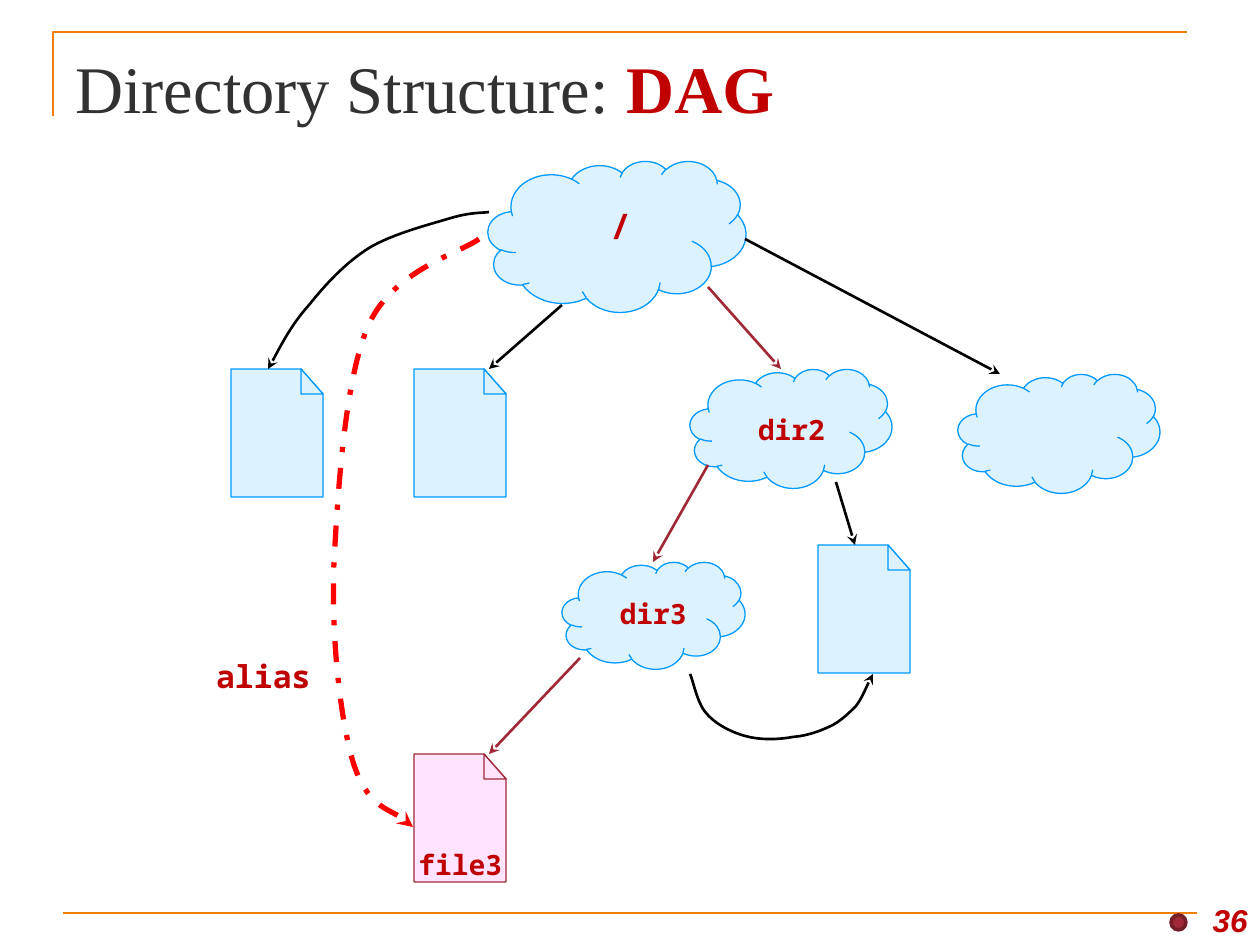
"""Build the slide showing a directory structure as a directed acyclic graph."""
from dataclasses import dataclass

from lxml.etree import SubElement
from pptx import Presentation
from pptx.dml.color import RGBColor
from pptx.enum.dml import MSO_LINE
from pptx.enum.shapes import MSO_CONNECTOR, MSO_SHAPE
from pptx.enum.text import MSO_ANCHOR, PP_ALIGN
from pptx.oxml.ns import qn
from pptx.util import Emu, Pt

EMU_PER_PX = 914400 / 126
STRAIGHT = MSO_CONNECTOR.STRAIGHT
CLOUD, OVAL = MSO_SHAPE.CLOUD, MSO_SHAPE.OVAL
DASH_DOT = MSO_LINE.DASH_DOT
TOP, MIDDLE, BOTTOM = MSO_ANCHOR.TOP, MSO_ANCHOR.MIDDLE, MSO_ANCHOR.BOTTOM
LEFT, CENTER, RIGHT = PP_ALIGN.LEFT, PP_ALIGN.CENTER, PP_ALIGN.RIGHT

BLACK = RGBColor(0x00, 0x00, 0x00)
CHARCOAL = RGBColor(0x32, 0x32, 0x32)
ORANGE = RGBColor(0xF0, 0x7F, 0x09)
PALE_BLUE = RGBColor(0xDD, 0xF2, 0xFF)
BLUE = RGBColor(0x00, 0x99, 0xFF)
PINK = RGBColor(0xFF, 0xE3, 0xFF)
MAROON = RGBColor(0x9F, 0x29, 0x36)
DARK_MAROON = RGBColor(0x76, 0x1E, 0x28)
CRIMSON = RGBColor(0xC0, 0x00, 0x00)
RED = RGBColor(0xFF, 0x00, 0x00)

FILE_WIDTH, FILE_HEIGHT = 92, 128
FOLD_WIDTH, FOLD_HEIGHT = 22, 25

Point = tuple[int, int]
Box = tuple[int, int, int, int]


@dataclass
class File:
    left: int
    top: int
    fill: RGBColor = PALE_BLUE
    line: RGBColor = BLUE


@dataclass
class Arrow:
    start: Point
    end: Point
    color: RGBColor = BLACK


@dataclass
class Curve:
    points: list[Point]
    color: RGBColor = BLACK
    weight: float = 1.5
    dash: MSO_LINE | None = None


@dataclass
class Label:
    box: Box
    text: str
    size: int
    align: PP_ALIGN = CENTER
    font: str = "Noto Sans Mono"
    italic: bool = False
    wrap: bool = False
    anchor: MSO_ANCHOR = TOP


CLOUDS: list[Box] = [
    (488, 161, 258, 151), (690, 369, 202, 119),
    (958, 374, 202, 119), (562, 562, 183, 107),
]
FILES = [File(231, 369), File(414, 369), File(818, 545), File(414, 754, PINK, MAROON)]
ARROWS = [
    Arrow((708, 465), (653, 562), MAROON),
    Arrow((708, 287), (781, 369), MAROON),
    Arrow((562, 305), (489, 369)),
    Arrow((745, 239), (1000, 374)),
    Arrow((580, 658), (489, 754), MAROON),
    Arrow((836, 482), (855, 545)),
]
CURVES = [
    Curve([(690, 674), (693, 680), (697, 703), (706, 713), (714, 723), (730, 732),
           (745, 736), (759, 740), (777, 740), (793, 737), (808, 736), (823, 730),
           (833, 725), (843, 719), (848, 714), (856, 706), (862, 698), (867, 685),
           (873, 674)]),
    Curve([(489, 212), (483, 213), (471, 212), (451, 218), (431, 224), (392, 234),
           (369, 248), (345, 263), (325, 285), (309, 305), (291, 325), (276, 355),
           (268, 369)]),
    Curve([(479, 239), (460, 253), (394, 270), (369, 324), (345, 377), (338, 489),
           (334, 562), (331, 636), (340, 718), (353, 762), (367, 806), (401, 813),
           (413, 827)], RED, 3, DASH_DOT),
]
LABELS = [
    Label((597, 198, 47, 55), "/", 20),
    Label((745, 406, 93, 47), "dir2", 16),
    Label((606, 590, 93, 47), "dir3", 16, RIGHT),
    Label((406, 841, 110, 47), "file3", 16, LEFT),
    Label((202, 651, 121, 50), "alias", 18, RIGHT),
    Label((1187, 882, 73, 63), "36", 18, RIGHT, "Arial", True, True, BOTTOM),
]


def px(*lengths: int) -> list[Emu]:
    return [Emu(round(length * EMU_PER_PX)) for length in lengths]


def set_line(shape, color: RGBColor, weight: float) -> None:
    shape.line.color.rgb = color
    shape.line.width = Pt(weight)


def add_arrowhead(shape) -> None:
    SubElement(shape._element.spPr.find(qn("a:ln")), qn("a:tailEnd"), type="stealth")


def draw_preset(page, kind, box: Box, fill: RGBColor, line: RGBColor, weight: float) -> None:
    shape = page.shapes.add_shape(kind, *px(*box))
    shape.shadow.inherit = False
    shape.fill.solid()
    shape.fill.fore_color.rgb = fill
    set_line(shape, line, weight)


def draw_outline(page, points: list[Point], line: RGBColor, weight: float,
                 fill: RGBColor | None = None):
    builder = page.shapes.build_freeform(*points[0], scale=EMU_PER_PX)
    builder.add_line_segments(points[1:], close=fill is not None)
    shape = builder.convert_to_shape()
    shape.shadow.inherit = False
    if fill is None:
        shape.fill.background()
    else:
        shape.fill.solid()
        shape.fill.fore_color.rgb = fill
    set_line(shape, line, weight)
    return shape


def draw_file(page, file: File) -> None:
    right, bottom = file.left + FILE_WIDTH, file.top + FILE_HEIGHT
    fold_start = (right - FOLD_WIDTH, file.top)
    fold_end = (right, file.top + FOLD_HEIGHT)
    fold_inner = (fold_start[0], fold_end[1])
    body = [(file.left, file.top), fold_start, fold_end, (right, bottom), (file.left, bottom)]
    for points in (body, [fold_start, fold_end, fold_inner]):
        draw_outline(page, points, file.line, 0.75, file.fill)


def draw_curve(page, curve: Curve) -> None:
    shape = draw_outline(page, curve.points, curve.color, curve.weight)
    if curve.dash is not None:
        shape.line.dash_style = curve.dash
    add_arrowhead(shape)
    outline = next(shape._element.iter(qn("a:path")))
    segments = outline.findall(qn("a:lnTo"))
    for first in range(0, len(segments), 3):
        bezier = SubElement(outline, qn("a:cubicBezTo"))
        for segment in segments[first:first + 3]:
            bezier.append(segment[0])
            outline.remove(segment)


def draw_straight(page, start: Point, end: Point, color: RGBColor):
    connector = page.shapes.add_connector(STRAIGHT, *px(*start, *end))
    set_line(connector, color, 1.5)
    SubElement(connector._element.spPr, qn("a:effectLst"))
    return connector


def draw_label(page, label: Label) -> None:
    frame = page.shapes.add_textbox(*px(*label.box)).text_frame
    frame.word_wrap = label.wrap
    frame.vertical_anchor = label.anchor
    para = frame.paragraphs[0]
    para.text = label.text
    para.alignment = label.align
    para.font.name = label.font
    para.font.size = Pt(label.size)
    para.font.bold = True
    para.font.italic = label.italic
    para.font.color.rgb = CRIMSON


def draw_title(page) -> None:
    frame = page.shapes.add_textbox(*px(63, 38, 1134, 98)).text_frame
    frame.word_wrap = True
    frame.vertical_anchor = MIDDLE
    para = frame.paragraphs[0]
    para.font.name = "Times New Roman"
    para.font.size = Pt(38)
    for text, color, bold in (("Directory Structure: ", CHARCOAL, False), ("DAG", CRIMSON, True)):
        span = para.add_run()
        span.text = text
        span.font.color.rgb = color
        span.font.bold = bold


def main() -> None:
    deck = Presentation()
    deck.slide_width, deck.slide_height = px(1260, 945)
    page = deck.slides.add_slide(deck.slide_layouts[6])
    draw_outline(page, [(53, 116), (53, 32), (1187, 32)], ORANGE, 1.5)
    draw_straight(page, (63, 913), (1197, 913), ORANGE)
    draw_title(page)
    for box in CLOUDS:
        draw_preset(page, CLOUD, box, PALE_BLUE, BLUE, 0.75)
    for file in FILES:
        draw_file(page, file)
    for arrow in ARROWS:
        add_arrowhead(draw_straight(page, arrow.start, arrow.end, arrow.color))
    for curve in CURVES:
        draw_curve(page, curve)
    for label in LABELS:
        draw_label(page, label)
    draw_preset(page, OVAL, (1171, 915, 15, 15), MAROON, DARK_MAROON, 2)
    deck.save("out.pptx")


if __name__ == "__main__":
    main()
